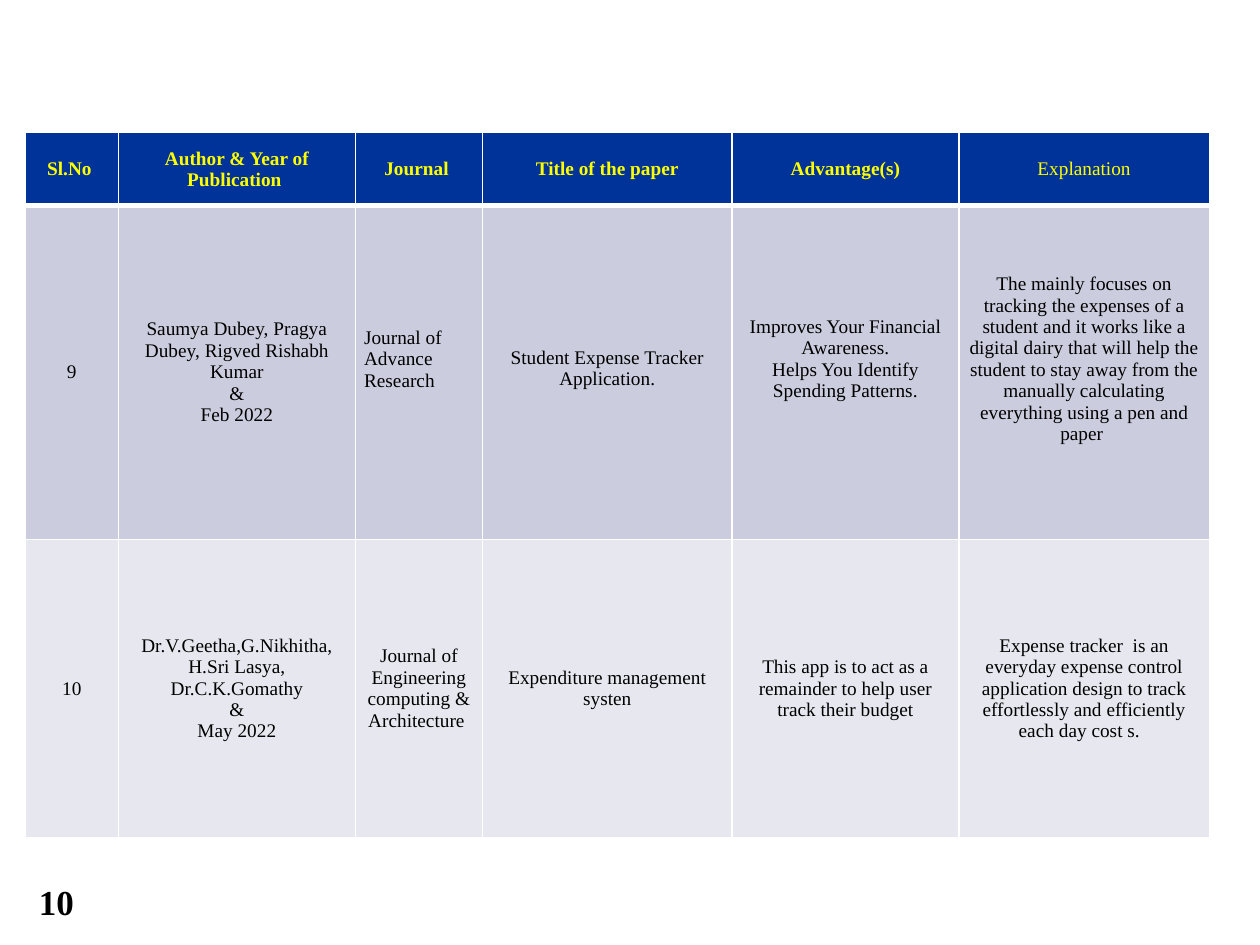
import pptx
import pptx.dml.color
import pptx.enum.text
import pptx.oxml
import pptx.oxml.ns
import pptx.util
from pptx.util import Inches

RGBColor = pptx.dml.color.RGBColor
ALIGN = pptx.enum.text.PP_ALIGN
MIDDLE = pptx.enum.text.MSO_ANCHOR.MIDDLE

WHITE = RGBColor(0xFF, 0xFF, 0xFF)
BLACK = RGBColor(0, 0, 0)
YELLOW = RGBColor(0xFF, 0xFF, 0)
NAVY = RGBColor(0, 0x33, 0x99)
LAVENDER = RGBColor(0xCB, 0xCD, 0xDE)
PALE = RGBColor(0xE7, 0xE8, 0xEF)
FONT = "Times New Roman"

HEADERS = ["Sl.No ", "Author & Year of Publication ", "Journal ",
           "Title of the paper", "Advantage(s)", "Explanation"]
PAPERS = [
    ["9",
     "Saumya Dubey, Pragya Dubey, Rigved Rishabh Kumar\n&\nFeb 2022",
     "Journal of Advance Research",
     "Student Expense Tracker Application.",
     "Improves Your Financial Awareness.\nHelps You Identify Spending Patterns.",
     "The mainly focuses on tracking the expenses of a student and it works "
     "like a digital dairy that will help the student to stay away from the "
     "manually calculating everything using a pen and paper "],
    ["10",
     "Dr.V.Geetha,G.Nikhitha, H.Sri Lasya, Dr.C.K.Gomathy\n&\nMay 2022",
     "Journal of Engineering computing & Architecture ",
     "Expenditure management systen",
     "This app is to act as a remainder to help user track their budget",
     "Expense tracker  is an everyday expense control application design to "
     "track effortlessly and efficiently each day cost s.  "],
]
COLUMN_WIDTHS = [0.74, 1.88, 1.01, 1.98, 1.8, 1.99]
ROW_HEIGHTS = [0.58, 2.65, 2.37]
ROW_FILLS = [NAVY, LAVENDER, PALE]

# Side and vertical margins of each column, for every row
HEADER_MARGINS = [(0.05, 0.01)] * 6
PAPER_MARGINS = [
    [(0, 0), (0.06, 0.03), (0.07, 0.04), (0.06, 0.03), (0.05, 0.01), (0.05, 0.01)],
    [(0, 0), (0.06, 0.03), (0.07, 0.04), (0.06, 0.03), (0.07, 0.04), (0.07, 0.04)],
]
# Extra bottom margin that lifts the text of some cells above the middle
LIFTS = {(1, 2): 0.21, (1, 3): 0.06, (1, 4): 0.21, (1, 5): 0.21}


def write_text(frame, text, size=11, color=BLACK, bold=False, align=ALIGN.CENTER):
    """Put each line of text in its own paragraph."""
    for index, line in enumerate(text.split("\n")):
        paragraph = frame.paragraphs[0] if index == 0 else frame.add_paragraph()
        paragraph.alignment = align
        run = paragraph.add_run()
        run.text = line
        run.font.name = FONT
        run.font.size = pptx.util.Pt(size)
        run.font.bold = bold
        run.font.color.rgb = color


def set_borders(cell, widths):
    """Draw white borders; widths maps L, R, T and B to points."""
    properties = cell._tc.get_or_add_tcPr()
    for position, side in enumerate("LRTB"):
        border = pptx.oxml.parse_xml(
            f'<a:ln{side} {pptx.oxml.ns.nsdecls("a")} w="{pptx.util.Pt(widths[side])}">'
            f'<a:solidFill><a:srgbClr val="{WHITE}"/></a:solidFill></a:ln{side}>')
        properties.insert(position, border)


def add_paper_table(slide):
    rows = [HEADERS] + PAPERS
    margins = [HEADER_MARGINS] + PAPER_MARGINS
    table = slide.shapes.add_table(
        len(rows), len(HEADERS), Inches(0.2), Inches(1.05),
        Inches(sum(COLUMN_WIDTHS)), Inches(sum(ROW_HEIGHTS))).table
    for column, width in zip(table.columns, COLUMN_WIDTHS):
        column.width = Inches(width)
    for row, height in zip(table.rows, ROW_HEIGHTS):
        row.height = Inches(height)

    for row_index, texts in enumerate(rows):
        is_header = row_index == 0
        for column_index, text in enumerate(texts):
            cell = table.cell(row_index, column_index)
            side, vertical = margins[row_index][column_index]
            lift = LIFTS.get((row_index, column_index), 0)
            cell.margin_left = cell.margin_right = Inches(side)
            cell.margin_top = Inches(vertical)
            cell.margin_bottom = Inches(0 if is_header else vertical + lift)
            cell.vertical_anchor = MIDDLE
            cell.fill.solid()
            cell.fill.fore_color.rgb = ROW_FILLS[row_index]
            set_borders(cell, {"L": 1, "R": 1,
                               "T": 3 if row_index == 1 else 1,
                               "B": 3 if is_header else 1})
            write_text(cell.text_frame, text,
                       color=YELLOW if is_header else BLACK,
                       bold=is_header and text != "Explanation",
                       align=ALIGN.LEFT if (row_index, column_index) == (1, 2)
                       else ALIGN.CENTER)


def main():
    presentation = pptx.Presentation()
    presentation.slide_width = Inches(10)
    presentation.slide_height = Inches(7.5)
    slide = presentation.slides.add_slide(presentation.slide_layouts[6])
    add_paper_table(slide)
    page_number = slide.shapes.add_textbox(
        Inches(0.21), Inches(6.94), Inches(0.61), Inches(0.45))
    page_number.text_frame.word_wrap = True
    write_text(page_number.text_frame, "10", size=20, bold=True, align=ALIGN.LEFT)
    presentation.save("out.pptx")


if __name__ == "__main__":
    main()
